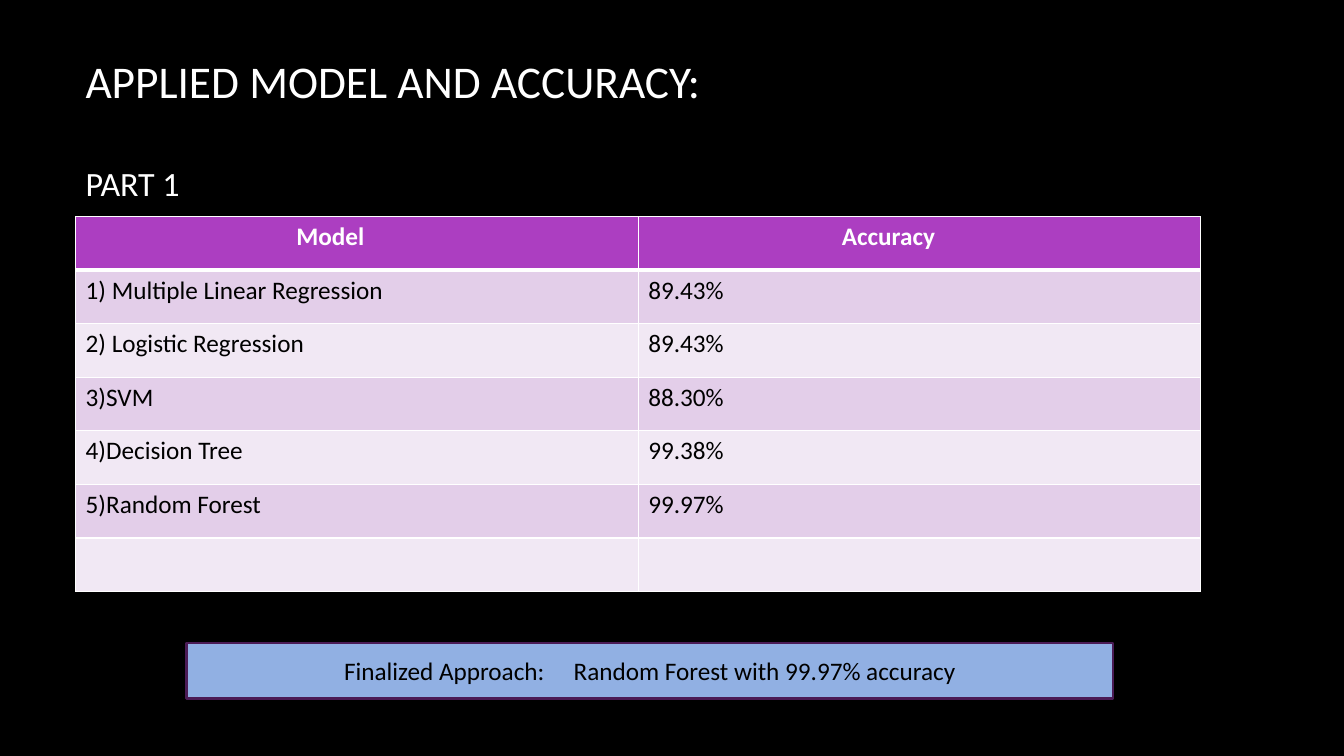
from dataclasses import dataclass

from lxml import etree
from pptx import Presentation
from pptx.dml.color import RGBColor
from pptx.enum.shapes import MSO_SHAPE
from pptx.enum.text import MSO_ANCHOR, PP_ALIGN
from pptx.oxml.ns import qn
from pptx.util import Inches, Pt

RECTANGLE = MSO_SHAPE.RECTANGLE
TOP, MIDDLE = MSO_ANCHOR.TOP, MSO_ANCHOR.MIDDLE
LEFT, CENTER = PP_ALIGN.LEFT, PP_ALIGN.CENTER

# Content
HEADING = "APPLIED MODEL AND ACCURACY:"
PART = "PART 1"
RESULTS = [
    ("Model", "Accuracy"),
    ("1) Multiple Linear Regression", "89.43%"),
    ("2) Logistic Regression", "89.43%"),
    ("3)SVM", "88.30%"),
    ("4)Decision Tree", "99.38%"),
    ("5)Random Forest", "99.97%"),
    ("", ""),
]
CONCLUSION = ("Finalized Approach:", "Random Forest with 99.97% accuracy")


@dataclass(frozen=True)
class Theme:
    font: str = "Calibri"
    background: str = "000000"
    light: str = "FFFFFF"
    dark: str = "000000"
    header: str = "AC3EC1"
    bands: tuple = ("E3CEE9", "F1E8F4")
    banner: str = "91B0E3"
    banner_line: str = "4B1B55"
    heading_size: float = 32.4
    part_size: float = 24.3
    body_size: float = 18
    rule: float = 1
    header_rule: float = 3


THEME = Theme()

# Layout in inches
SLIDE_W, SLIDE_H = 13.33, 7.5
MARGIN = 0.75
HEADING_TOP, HEADING_H = 0.53, 1.55
PART_GAP = 39  # points between heading and part
TABLE_TOP, TABLE_W, TABLE_H = 2.15, 11.16, 3.72
INSET = 0.1
HEADER_INSETS = (2.19, 2.02)
BANNER = (1.85, 6.38, 9.19, 0.55)
BANNER_GAP = 16.6  # points of extra tracking between label and result


def color(value):
    return RGBColor.from_string(value)


def add_run(paragraph, text, size, ink, bold=False):
    run = paragraph.add_run()
    run.text = text
    run.font.name, run.font.size, run.font.bold = THEME.font, Pt(size), bold
    run.font.color.rgb = color(ink)
    return run


def set_fill(target, value):
    target.fill.solid()
    target.fill.fore_color.rgb = color(value)


def set_borders(cell, widths):
    properties = cell._tc.get_or_add_tcPr()
    for position, (side, width) in enumerate(widths.items()):
        line = etree.Element(qn(f"a:ln{side}"), w=str(Pt(width)))
        fill = etree.SubElement(line, qn("a:solidFill"))
        etree.SubElement(fill, qn("a:srgbClr"), val=THEME.light)
        properties.insert(position, line)


def add_heading(slide):
    box = slide.shapes.add_textbox(
        *map(Inches, (MARGIN, HEADING_TOP, TABLE_W, HEADING_H)))
    frame = box.text_frame
    frame.word_wrap, frame.vertical_anchor = True, TOP
    frame.margin_top = frame.margin_bottom = 0
    add_run(frame.paragraphs[0], HEADING, THEME.heading_size, THEME.light)
    part = frame.add_paragraph()
    part.space_before = Pt(PART_GAP)
    add_run(part, PART, THEME.part_size, THEME.light)


def add_results(slide):
    rows, columns = len(RESULTS), len(RESULTS[0])
    table = slide.shapes.add_table(
        rows, columns,
        *map(Inches, (MARGIN, TABLE_TOP, TABLE_W, TABLE_H))).table
    for column in table.columns:
        column.width = Inches(TABLE_W / columns)
    for r, result in enumerate(RESULTS):
        table.rows[r].height = Inches(TABLE_H / rows)
        is_header = r == 0
        for c, text in enumerate(result):
            cell = table.cell(r, c)
            cell.margin_left = Inches(HEADER_INSETS[c] if is_header else INSET)
            set_fill(cell, THEME.header if is_header else THEME.bands[(r - 1) % 2])
            set_borders(cell, {
                "L": THEME.rule, "R": THEME.rule,
                "T": THEME.header_rule if r == 1 else THEME.rule,
                "B": THEME.header_rule if is_header else THEME.rule})
            paragraph = cell.text_frame.paragraphs[0]
            paragraph.alignment = LEFT
            if text:
                add_run(paragraph, text, THEME.body_size,
                        THEME.light if is_header else THEME.dark, is_header)


def add_conclusion(slide):
    banner = slide.shapes.add_shape(RECTANGLE, *map(Inches, BANNER))
    banner.shadow.inherit = False
    set_fill(banner, THEME.banner)
    banner.line.color.rgb = color(THEME.banner_line)
    banner.line.width = Pt(1.5)
    frame = banner.text_frame
    frame.word_wrap, frame.vertical_anchor = True, MIDDLE
    sentence = frame.paragraphs[0]
    sentence.alignment = CENTER
    label, result = CONCLUSION
    add_run(sentence, label, THEME.body_size, THEME.dark)
    gap = add_run(sentence, " ", THEME.body_size, THEME.dark)
    gap._r.get_or_add_rPr().set("spc", str(round(BANNER_GAP * 100)))
    add_run(sentence, result, THEME.body_size, THEME.dark)


def main():
    deck = Presentation()
    deck.slide_width, deck.slide_height = Inches(SLIDE_W), Inches(SLIDE_H)
    slide = deck.slides.add_slide(deck.slide_layouts[6])
    set_fill(slide.background, THEME.background)
    add_heading(slide)
    add_results(slide)
    add_conclusion(slide)
    deck.save("out.pptx")


if __name__ == "__main__":
    main()
